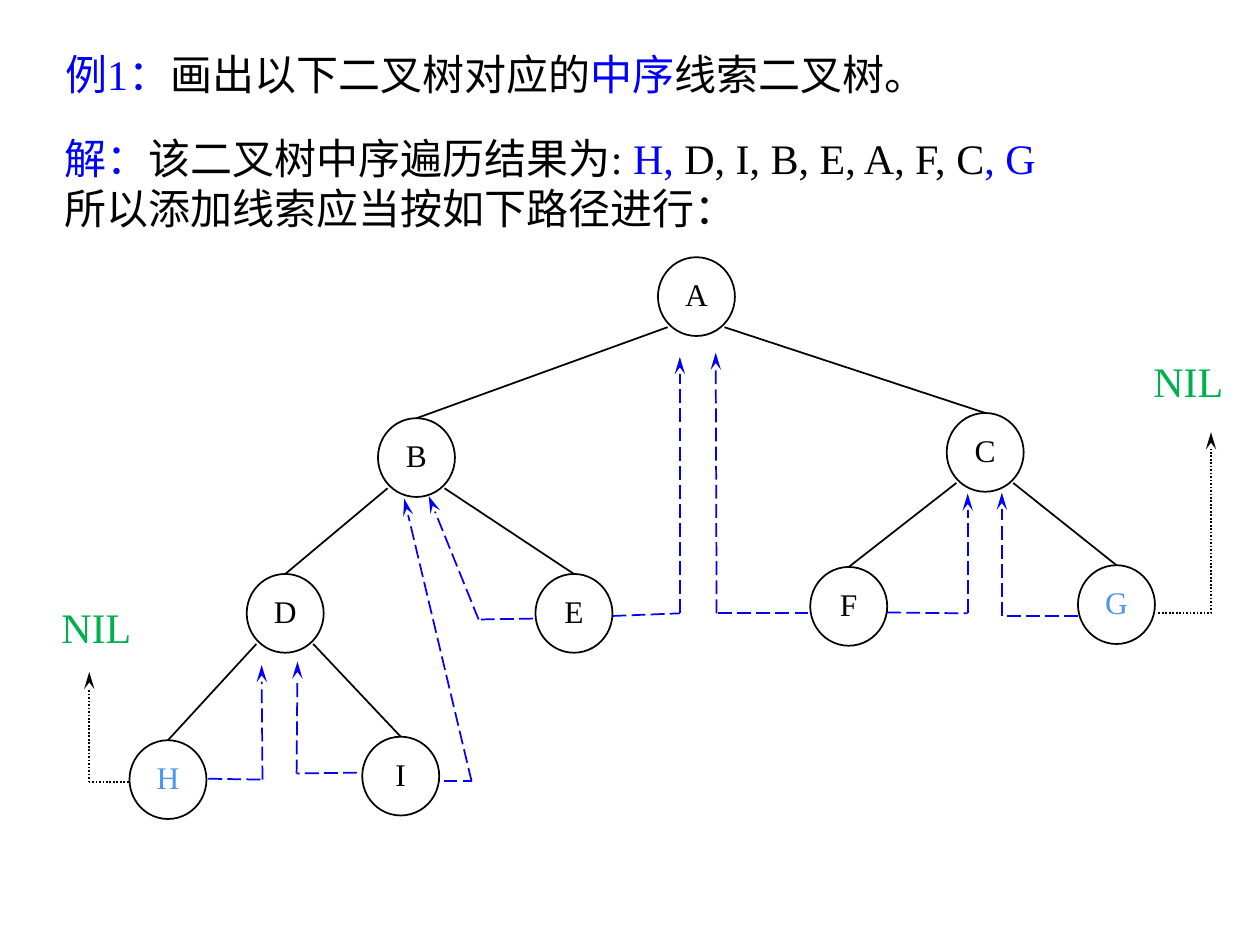
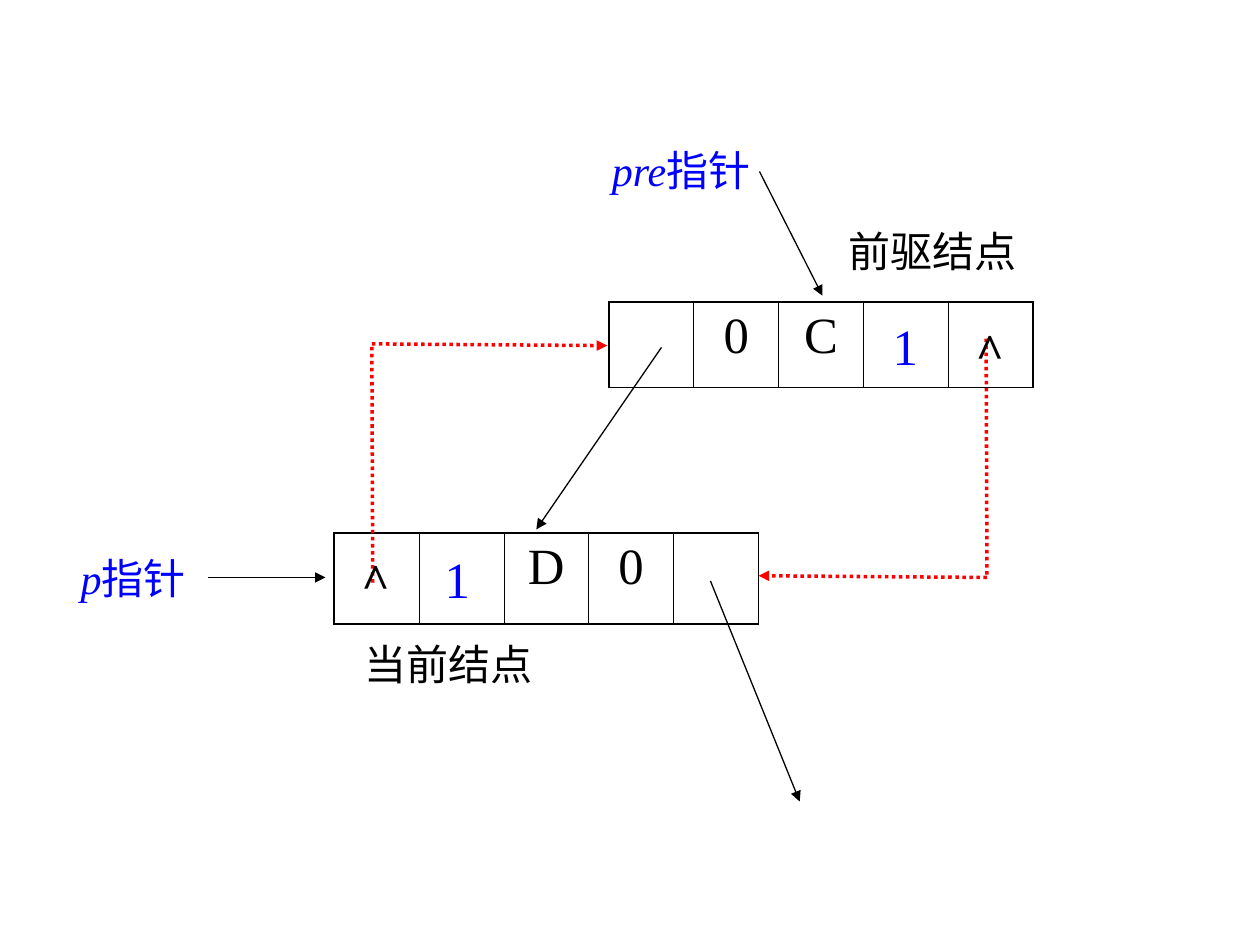
from dataclasses import dataclass
from itertools import pairwise
from typing import NamedTuple

import lxml.etree
import pptx
import pptx.dml.color
import pptx.enum.dml
import pptx.enum.shapes
import pptx.enum.text
import pptx.oxml.ns
import pptx.shapes.autoshape
import pptx.shapes.connector
import pptx.slide
import pptx.table
import pptx.text.text
import pptx.util

Pt = pptx.util.Pt
RGBColor = pptx.dml.color.RGBColor
Dash = pptx.enum.dml.MSO_LINE
Align = pptx.enum.text.PP_ALIGN
Anchor = pptx.enum.text.MSO_ANCHOR
Slide = pptx.slide.Slide
Shape = pptx.shapes.autoshape.Shape
Link = pptx.shapes.connector.Connector
Point = tuple[float, float]
qn = pptx.oxml.ns.qn

BLACK = RGBColor(0, 0, 0)
BLUE = RGBColor(0, 0, 255)
SKY = RGBColor(0x4E, 0x96, 0xE6)
GREEN = RGBColor(0, 0xB0, 0x50)
RED = RGBColor(255, 0, 0)
FONT = "Times New Roman"
NODE_W, NODE_H = 44, 45
CELL_W = 48.5
THICK, THIN = 1.08, 0.45


class Run(NamedTuple):
    """A piece of text in one format."""

    text: str
    color: RGBColor = BLACK
    size: float = 24
    bold: bool = False
    slant: bool = False


class Pen(NamedTuple):
    """The look of a line and its arrowhead."""

    color: RGBColor
    width: float
    dash: Dash | None = None
    tip: str | None = None
    reach: str = "med"


@dataclass
class Node:
    """A tree node, its place and its children."""

    left: float
    top: float
    kids: str = ""
    color: RGBColor = BLACK


@dataclass
class Label:
    """A one-line text box."""

    left: float
    top: float
    width: float
    height: float
    runs: list[Run]
    align: Align = Align.LEFT


@dataclass
class Record:
    """A linked node drawn as a row of five cells."""

    left: float
    top: float
    height: float
    cells: tuple[str, ...]


EDGE = Pen(BLACK, 1)
THREAD = Pen(BLUE, 1, Dash.LONG_DASH, "stealth", "lg")
NIL = Pen(BLACK, 1, Dash.ROUND_DOT, "stealth", "lg")
ARROW = Pen(BLACK, 0.75, tip="triangle")
CLUE = Pen(RED, 2, Dash.ROUND_DOT, "triangle")

TITLE = [Run("例1：", BLUE), Run("画出以下二叉树对应的"), Run("中序", BLUE), Run("线索二叉树。")]
ANSWER = [
    [Run("解：", BLUE), Run("该二叉树中序遍历结果为: "), Run("H, ", BLUE),
     Run("D, I, B, E, A, F, C"), Run(", G", BLUE)],
    [Run("所以添加线索应当按如下路径进行：")],
]
TREE = {
    "A": Node(376, 147, "BC"),
    "B": Node(216, 239, "DE"),
    "C": Node(541, 236, "FG"),
    "D": Node(141, 328, "HI"),
    "E": Node(306, 328),
    "F": Node(463, 324),
    "G": Node(616, 323, color=SKY),
    "H": Node(74, 423, color=SKY),
    "I": Node(207, 421),
}
THREADS: list[tuple[Pen, list[Point]]] = [
    (THREAD, [(253.5, 446.5), (269.5, 446.5), (231, 285)]),
    (THREAD, [(304.5, 353.5), (273.5, 354), (245, 283.5)]),
    (THREAD, [(204, 441.5), (169.5, 442), (170, 378)]),
    (THREAD, [(119, 445), (150, 445.5), (149.5, 380)]),
    (THREAD, [(462, 350.5), (409.5, 350.5), (409, 201.5)]),
    (THREAD, [(616, 352), (572.5, 352), (572.5, 281.5)]),
    (THREAD, [(350, 352), (388.5, 350.5), (388.5, 204)]),
    (THREAD, [(507, 350), (553, 350.5), (553, 282)]),
    (NIL, [(73.5, 447), (51, 447), (51, 384)]),
    (NIL, [(662, 350.5), (692, 350.5), (692, 247)]),
]
ENDS = [Label(x, y, 60, 36, [Run("NIL", GREEN)]) for x, y in ((28, 340), (652, 199.5))]

RECORDS = [
    Record(191, 304.5, 52, ("", "", "D", "0", "")),
    Record(348, 172.5, 49, ("", "0", "C", "", "")),
]
NAMES = [
    Label(342.5, 79, 104, 36, [Run("pre", BLUE, slant=True), Run("指针", BLUE)]),
    Label(201, 361.5, 120, 36, [Run("当前结点")]),
    Label(478, 125.5, 120, 36, [Run("前驱结点")]),
]
MARKS = [
    Label(247, 309.5, 29, 42, [Run("1", BLUE, 29)]),
    Label(503, 176.5, 29, 42, [Run("1", BLUE, 29)]),
    Label(199.5, 310.5, 30, 41, [Run("^", size=28, bold=True)], Align.CENTER),
    Label(550.5, 179, 30, 41, [Run("^", size=28, bold=True)], Align.CENTER),
]
POINTER = Label(39, 312, 80, 36, [Run("p", BLUE, slant=True), Run("指针", BLUE)])
PATHS: list[tuple[Pen, list[Point]]] = [
    (ARROW, [(378, 198.5), (306.5, 302.5)]),
    (ARROW, [(434, 98), (470, 169)]),
    (ARROW, [(406, 332), (457, 458)]),
    (CLUE, [(213, 333), (212.5, 196.5), (347, 197.5)]),
    (CLUE, [(563.5, 193.5), (564, 330), (433.5, 329)]),
]


def write(para: pptx.text.text._Paragraph, runs: list[Run]) -> None:
    """Add runs to a paragraph."""
    for item in runs:
        run = para.add_run()
        run.text = item.text
        font = run.font
        font.name, font.size = FONT, Pt(item.size)
        font.bold, font.italic = item.bold, item.slant
        font.color.rgb = item.color


def add_label(slide: Slide, label: Label) -> Shape:
    """Draw a one-line text box."""
    box = slide.shapes.add_textbox(
        Pt(label.left), Pt(label.top), Pt(label.width), Pt(label.height))
    box.text_frame.word_wrap = False
    para = box.text_frame.paragraphs[0]
    para.alignment = label.align
    write(para, label.runs)
    return box


def add_line(slide: Slide, start: Point, end: Point, pen: Pen, tip: bool = True) -> Link:
    """Draw a straight line, with the arrowhead of its pen if wanted."""
    link = slide.shapes.add_connector(
        pptx.enum.shapes.MSO_CONNECTOR.STRAIGHT, *(Pt(v) for v in (*start, *end)))
    link.line.color.rgb = pen.color
    link.line.width = Pt(pen.width)
    if pen.dash:
        link.line.dash_style = pen.dash
    props = link.element.spPr
    if tip and pen.tip:
        lxml.etree.SubElement(
            props.find(qn("a:ln")), qn("a:tailEnd"), type=pen.tip, len=pen.reach)
    lxml.etree.SubElement(props, qn("a:effectLst"))
    return link


def add_path(slide: Slide, points: list[Point], pen: Pen) -> None:
    """Draw lines from point to point, with an arrowhead on the last."""
    for start, end in pairwise(points):
        add_line(slide, start, end, pen, end == points[-1])


def add_node(slide: Slide, name: str, node: Node) -> Shape:
    """Draw a tree node as a circle with its letter."""
    shape = slide.shapes.add_shape(
        pptx.enum.shapes.MSO_SHAPE.OVAL,
        Pt(node.left), Pt(node.top), Pt(NODE_W), Pt(NODE_H))
    shape.shadow.inherit = False
    shape.fill.background()
    shape.line.color.rgb = BLACK
    shape.line.width = Pt(1)
    frame = shape.text_frame
    frame.margin_left = frame.margin_right = frame.margin_top = 0
    frame.margin_bottom = Pt(3)
    frame.vertical_anchor = Anchor.MIDDLE
    frame.paragraphs[0].alignment = Align.CENTER
    write(frame.paragraphs[0], [Run(name, node.color, 18)])
    return shape


def add_tree(slide: Slide) -> None:
    """Draw all nodes and join each one to its children."""
    shapes = {name: add_node(slide, name, node) for name, node in TREE.items()}
    for node in TREE.values():
        for kid, shift in zip(node.kids, (5.5, 38)):
            start = node.left + shift, node.top + 40
            add_line(slide, start, start, EDGE).end_connect(shapes[kid], 0)


def set_edge(cell: pptx.table._Cell, side: str, width: float) -> None:
    """Draw one border of a cell."""
    props = cell._tc.get_or_add_tcPr()
    line = lxml.etree.SubElement(props, qn(f"a:ln{side}"), w=str(Pt(width)))
    fill = lxml.etree.SubElement(line, qn("a:solidFill"))
    lxml.etree.SubElement(fill, qn("a:srgbClr"), val=str(BLACK))


def add_record(slide: Slide, record: Record) -> None:
    """Draw a linked node as a table of one row."""
    count = len(record.cells)
    table = slide.shapes.add_table(
        1, count, Pt(record.left), Pt(record.top),
        Pt(CELL_W * count), Pt(record.height)).table
    table.first_row = table.horz_banding = False
    for col, text in enumerate(record.cells):
        table.columns[col].width = Pt(CELL_W)
        cell = table.cell(0, col)
        set_edge(cell, "L", THIN if col else THICK)
        set_edge(cell, "R", THIN if col < count - 1 else THICK)
        set_edge(cell, "T", THICK)
        set_edge(cell, "B", THICK)
        cell.fill.background()
        if text:
            cell.margin_left = cell.margin_right = Pt(13)
            para = cell.text_frame.paragraphs[0]
            para.alignment = Align.CENTER
            write(para, [Run(text, size=29)])


def draw_tree(slide: Slide) -> None:
    """Build the slide with the threaded tree."""
    title = slide.shapes.title
    title.left, title.top, title.width, title.height = Pt(30), Pt(24), Pt(612), Pt(36)
    title.text_frame.auto_size = pptx.enum.text.MSO_AUTO_SIZE.NONE
    title.text_frame.vertical_anchor = Anchor.MIDDLE
    title.text_frame.paragraphs[0].alignment = Align.LEFT
    write(title.text_frame.paragraphs[0], TITLE)
    frame = slide.shapes.add_textbox(Pt(30), Pt(72), Pt(636), Pt(65)).text_frame
    frame.word_wrap = True
    write(frame.paragraphs[0], ANSWER[0])
    write(frame.add_paragraph(), ANSWER[1])
    for pen, points in THREADS:
        add_path(slide, points, pen)
    add_tree(slide)
    for label in ENDS:
        add_label(slide, label)


def draw_list(slide: Slide) -> None:
    """Build the slide with the two linked nodes."""
    for record in RECORDS:
        add_record(slide, record)
    for label in NAMES:
        add_label(slide, label)
    box = add_label(slide, POINTER)
    add_line(slide, (119, 330), (186, 330), ARROW).begin_connect(box, 3)
    for pen, points in PATHS:
        add_path(slide, points, pen)
    for label in MARKS:
        add_label(slide, label)


def main() -> None:
    """Build and save the deck."""
    deck = pptx.Presentation()
    deck.slide_width, deck.slide_height = Pt(720), Pt(540)
    draw_tree(deck.slides.add_slide(deck.slide_layouts[5]))
    draw_list(deck.slides.add_slide(deck.slide_layouts[6]))
    deck.save("out.pptx")


if __name__ == "__main__":
    main()
